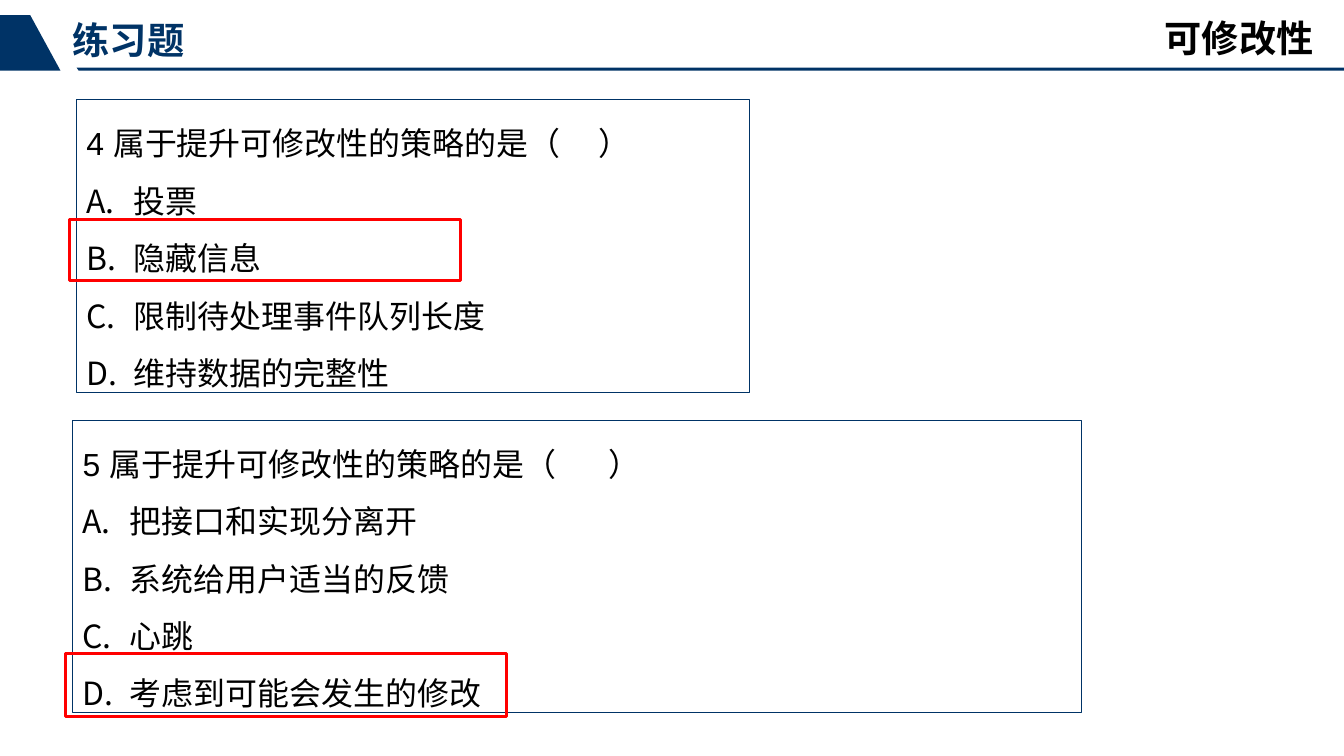
from pptx import Presentation
from pptx import util as u
from pptx.dml import color
from pptx.enum import shapes, text
from pptx.oxml import ns
from lxml import etree

NAVY, RED, BLACK = "003366", "FF0000", "000000"
SLIDE_WIDTH, SLIDE_HEIGHT = 13.33, 7.5
OPTION_INDENT = 0.47

QUESTIONS = [
    {
        "box": (0.76, 0.99, 6.67, 2.9),
        "stem": "4 属于提升可修改性的策略的是（\t）",
        "blank_end": 5.08,
        "options": ["投票", "隐藏信息", "限制待处理事件队列长度", "维持数据的完整性"],
        "answer": (-0.07, 1.19, 3.88, 0.6),
    },
    {
        "box": (0.72, 4.17, 10.01, 2.9),
        "stem": "5 属于提升可修改性的策略的是（\t）",
        "blank_end": 5.22,
        "options": ["把接口和实现分离开", "系统给用户适当的反馈", "心跳", "考虑到可能会发生的修改"],
        "answer": (-0.07, 2.31, 4.37, 0.63),
    },
]


def rgb(value):
    """Turn a hex string into a colour."""
    return color.RGBColor.from_string(value)


def lengths(box):
    """Turn a box in inches into lengths."""
    return [u.Inches(value) for value in box]


def write(para, words, size=22.8, fill=BLACK, bold=False, align=text.PP_ALIGN.LEFT):
    """Write formatted words into a paragraph."""
    para.alignment = align
    span = para.add_run()
    span.text = words
    span.font.name = "Arial"
    span.font.size = u.Pt(size)
    span.font.bold = bold
    span.font.color.rgb = rgb(fill)


def add_polygon(page, points, fill):
    """Draw a filled polygon through points in inches."""
    corners = [tuple(lengths(point)) for point in points]
    builder = page.shapes.build_freeform(*corners[0])
    builder.add_line_segments(corners[1:], close=True)
    shape = builder.convert_to_shape()
    shape.shadow.inherit = False
    shape.fill.solid()
    shape.fill.fore_color.rgb = rgb(fill)
    shape.line.fill.background()


def add_frame(page, box, line, width):
    """Draw an unfilled rectangle with a coloured outline."""
    shape = page.shapes.add_shape(shapes.MSO_SHAPE.RECTANGLE, *lengths(box))
    shape.shadow.inherit = False
    shape.fill.background()
    shape.line.color.rgb = rgb(line)
    shape.line.width = u.Pt(width)
    return shape


def add_heading(page, box, words, **style):
    """Place a bold heading without margins."""
    frame = page.shapes.add_textbox(*lengths(box)).text_frame
    frame.word_wrap = True
    frame.auto_size = text.MSO_AUTO_SIZE.SHAPE_TO_FIT_TEXT
    frame.margin_left = frame.margin_top = frame.margin_right = frame.margin_bottom = 0
    para = frame.paragraphs[0]
    para.space_before, para.space_after = u.Pt(5.3), u.Pt(6)
    write(para, words, size=26.6, bold=True, **style)


def add_header(page, box):
    """Draw the title band with its two headings."""
    left, top, width, height = box
    right, bottom = left + width, top + height
    rule_top = bottom - 0.03
    add_polygon(page, [(left + 0.76, rule_top), (right, rule_top),
                       (right, bottom), (left + 0.78, bottom)], NAVY)
    add_polygon(page, [(left + 0.3, top), (left + 0.6, bottom),
                       (left, bottom), (left, top)], NAVY)
    add_heading(page, (left + 0.72, top + 0.02, 6.99, 0.45), "练习题", fill=NAVY)
    add_heading(page, (right - 3.83, top, 3.53, 0.45), "可修改性",
                align=text.PP_ALIGN.RIGHT)


def set_tab(para, position):
    """Add a left tab stop to a paragraph."""
    stops = etree.SubElement(para._p.get_or_add_pPr(), ns.qn("a:tabLst"))
    etree.SubElement(stops, ns.qn("a:tab"), pos=str(u.Inches(position)), algn="l")


def set_lettering(para):
    """Number a paragraph with capital letters and a hanging indent."""
    props = para._p.get_or_add_pPr()
    props.set("marL", str(u.Inches(OPTION_INDENT)))
    props.set("indent", str(-u.Inches(OPTION_INDENT)))
    etree.SubElement(props, ns.qn("a:buFont"), typeface="+mj-lt")
    etree.SubElement(props, ns.qn("a:buAutoNum"), type="alphaUcPeriod")


def add_question(page, box, stem, blank_end, options, answer):
    """Place a framed question and mark its answer."""
    frame = add_frame(page, box, NAVY, 0.75).text_frame
    frame.word_wrap = True
    frame.auto_size = text.MSO_AUTO_SIZE.SHAPE_TO_FIT_TEXT
    frame.vertical_anchor = text.MSO_ANCHOR.TOP
    para = frame.paragraphs[0]
    para.line_spacing = 1.5
    set_tab(para, blank_end)
    write(para, stem)
    for option in options:
        para = frame.add_paragraph()
        para.line_spacing = 1.5
        set_lettering(para)
        write(para, option)
    left, top, width, height = answer
    add_frame(page, (box[0] + left, box[1] + top, width, height), RED, 2.25)


def main():
    """Build and save the exercise slide."""
    deck = Presentation()
    deck.slide_width, deck.slide_height = lengths((SLIDE_WIDTH, SLIDE_HEIGHT))
    page = deck.slides.add_slide(deck.slide_layouts[6])
    add_header(page, (0, 0.15, SLIDE_WIDTH, 0.55))
    for question in QUESTIONS:
        add_question(page, **question)
    deck.save("out.pptx")


if __name__ == "__main__":
    main()
